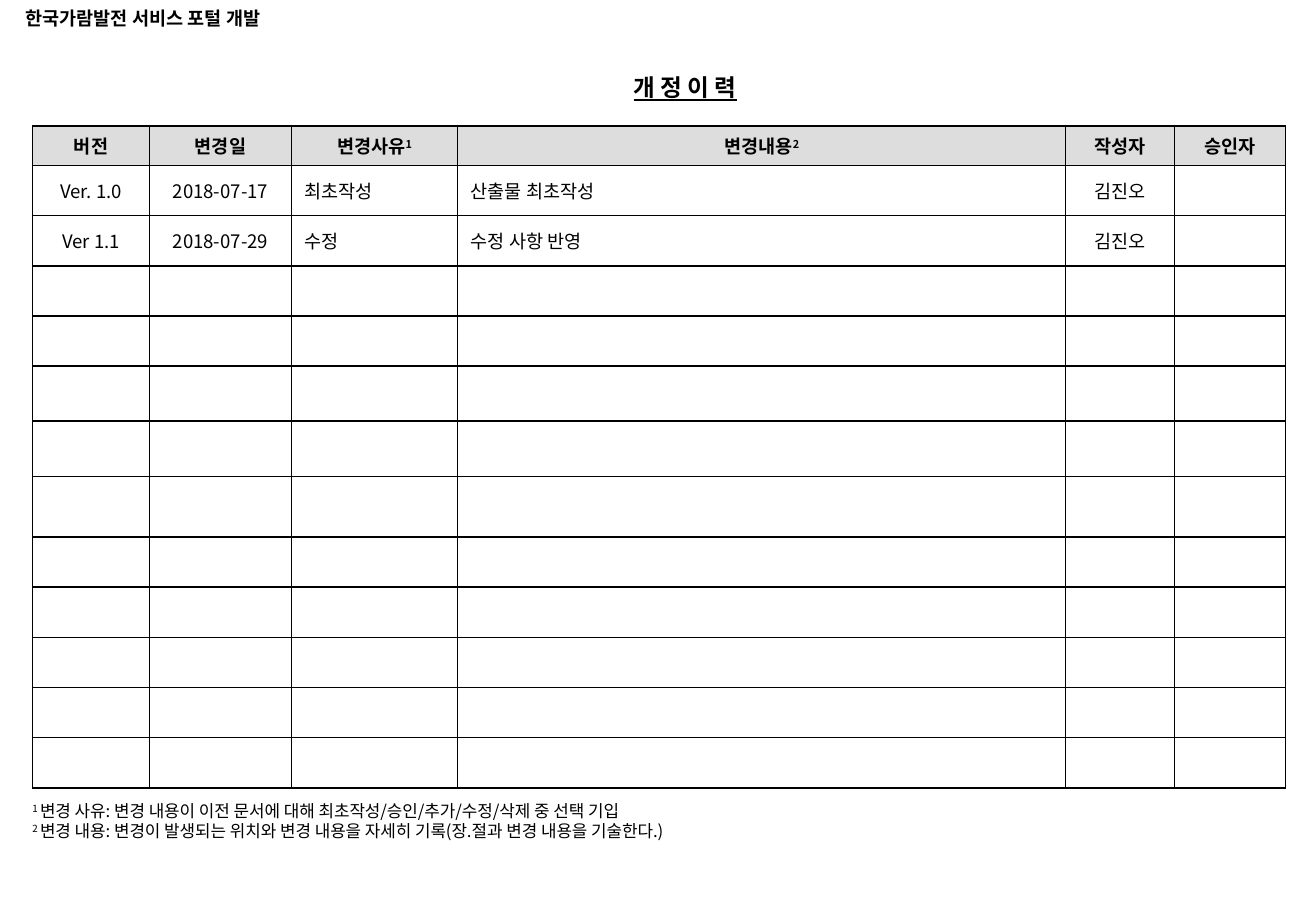
from dataclasses import dataclass

from lxml import etree
from pptx import Presentation
from pptx.dml.color import RGBColor
from pptx.enum import shapes, text
from pptx.oxml import ns
from pptx.util import Pt

BLACK = RGBColor(0, 0, 0)
WHITE = RGBColor(0xFF, 0xFF, 0xFF)
GRAY = RGBColor(0xDD, 0xDD, 0xDD)
FONT = "Noto Sans CJK KR"
LEFT, MID = text.PP_ALIGN.LEFT, text.PP_ALIGN.CENTER


@dataclass
class Span:
    words: str
    sup: bool = False


@dataclass
class Style:
    size: float
    bold: bool = False
    line: bool = False
    align: text.PP_ALIGN = LEFT


@dataclass
class Column:
    head: list[Span]
    width: float
    align: text.PP_ALIGN
    items: list[str]


COLUMNS = [
    Column([Span("버전")], 69.4, MID, ["Ver. 1.0", "Ver 1.1"]),
    Column([Span("변경일")], 84, MID, ["2018-07-17", "2018-07-29"]),
    Column([Span("변경사유"), Span("1", True)], 98.6, LEFT, ["최초작성", "수정"]),
    Column([Span("변경내용"), Span("2", True)], 360.4, LEFT,
           ["산출물 최초작성", "수정 사항 반영"]),
    Column([Span("작성자")], 64.4, MID, ["김진오"] * 2),
    Column([Span("승인자")], 66, MID, []),
]
ROWS = [23.4] + [29.75] * 4 + [32.6, 32.9, 35.85] + [29.75] * 5
NOTES = [
    [Span("1 ", True),
     Span("변경 사유: 변경 내용이 이전 문서에 대해 최초작성/승인/추가/수정/삭제 중 선택 기입")],
    [Span("2 ", True),
     Span("변경 내용: 변경이 발생되는 위치와 변경 내용을 자세히 기록(장.절과 변경 내용을 기술한다.)")],
]


def write(frame, lines: list[list[Span]], style: Style) -> None:
    """Fill a text frame, one paragraph per line."""
    for i, spans in enumerate(lines):
        para = frame.add_paragraph() if i else frame.paragraphs[0]
        para.alignment = style.align
        font = para.font
        font.name, font.size, font.bold = FONT, Pt(style.size), style.bold
        font.underline = style.line
        font.color.rgb = BLACK
        base = para._p.pPr.find(ns.qn("a:defRPr"))
        base.find(ns.qn("a:latin")).addnext(
            etree.Element(ns.qn("a:ea"), typeface=FONT))
        for span in spans:
            run = para.add_run()
            run.text = span.words
            if span.sup:
                run._r.get_or_add_rPr().set("baseline", "30000")


def edge(cell) -> None:
    """Draw a thin black border on all four sides of a cell."""
    props = cell._tc.get_or_add_tcPr()
    for side in ("lnL", "lnR", "lnT", "lnB"):
        line = etree.SubElement(props, ns.qn(f"a:{side}"), w=str(Pt(1)))
        fill = etree.SubElement(line, ns.qn("a:solidFill"))
        etree.SubElement(fill, ns.qn("a:srgbClr"), val=str(BLACK))


def label(slide, box: tuple, lines: list[list[Span]], style: Style,
          wrap: bool = False) -> None:
    frame = slide.shapes.add_textbox(*map(Pt, box)).text_frame
    frame.word_wrap = wrap
    write(frame, lines, style)


def grid(slide) -> None:
    """Build the revision table."""
    width = sum(col.width for col in COLUMNS)
    table = slide.shapes.add_table(
        len(ROWS), len(COLUMNS), Pt(19.3), Pt(74.7), Pt(width), Pt(sum(ROWS))).table
    table.first_row = table.horz_banding = False
    for row, height in zip(table.rows, ROWS):
        row.height = Pt(height)
    for c, col in enumerate(COLUMNS):
        table.columns[c].width = Pt(col.width)
        texts = [col.head] + [[Span(item)] for item in col.items]
        for r in range(len(ROWS)):
            cell = table.cell(r, c)
            edge(cell)
            cell.vertical_anchor = text.MSO_ANCHOR.MIDDLE
            cell.margin_left = cell.margin_right = Pt(7.7)
            cell.margin_top = cell.margin_bottom = Pt(3.6 if r < len(texts) else 0)
            if r == 0:
                cell.fill.solid()
                cell.fill.fore_color.rgb = GRAY
            else:
                cell.fill.background()
            if r < len(texts):
                style = Style(11, bold=r == 0, align=MID if r == 0 else col.align)
                write(cell.text_frame, [texts[r]], style)


def banner(slide) -> None:
    """Put the project name in the top left corner."""
    box = slide.shapes.add_shape(
        shapes.MSO_SHAPE.RECTANGLE, *map(Pt, (7.9, 0, 175, 20.9)))
    box.shadow.inherit = False
    box.fill.solid()
    box.fill.fore_color.rgb = WHITE
    box.line.fill.background()
    box.text_frame.word_wrap = False
    write(box.text_frame, [[Span("한국가람발전 서비스 포털 개발")]], Style(11, bold=True))


def main() -> None:
    deck = Presentation()
    deck.slide_width, deck.slide_height = Pt(780), Pt(540)
    slide = deck.slides.add_slide(deck.slide_layouts[6])

    # Title, footnotes, table and project name
    label(slide, (293.8, 39.6, 224.6, 24), [[Span("개 정 이 력")]],
          Style(14, bold=True, line=True, align=MID), wrap=True)
    label(slide, (12.2, 470.9, 441, 31.7), NOTES, Style(10))
    grid(slide)
    banner(slide)
    deck.save("out.pptx")


if __name__ == "__main__":
    main()
